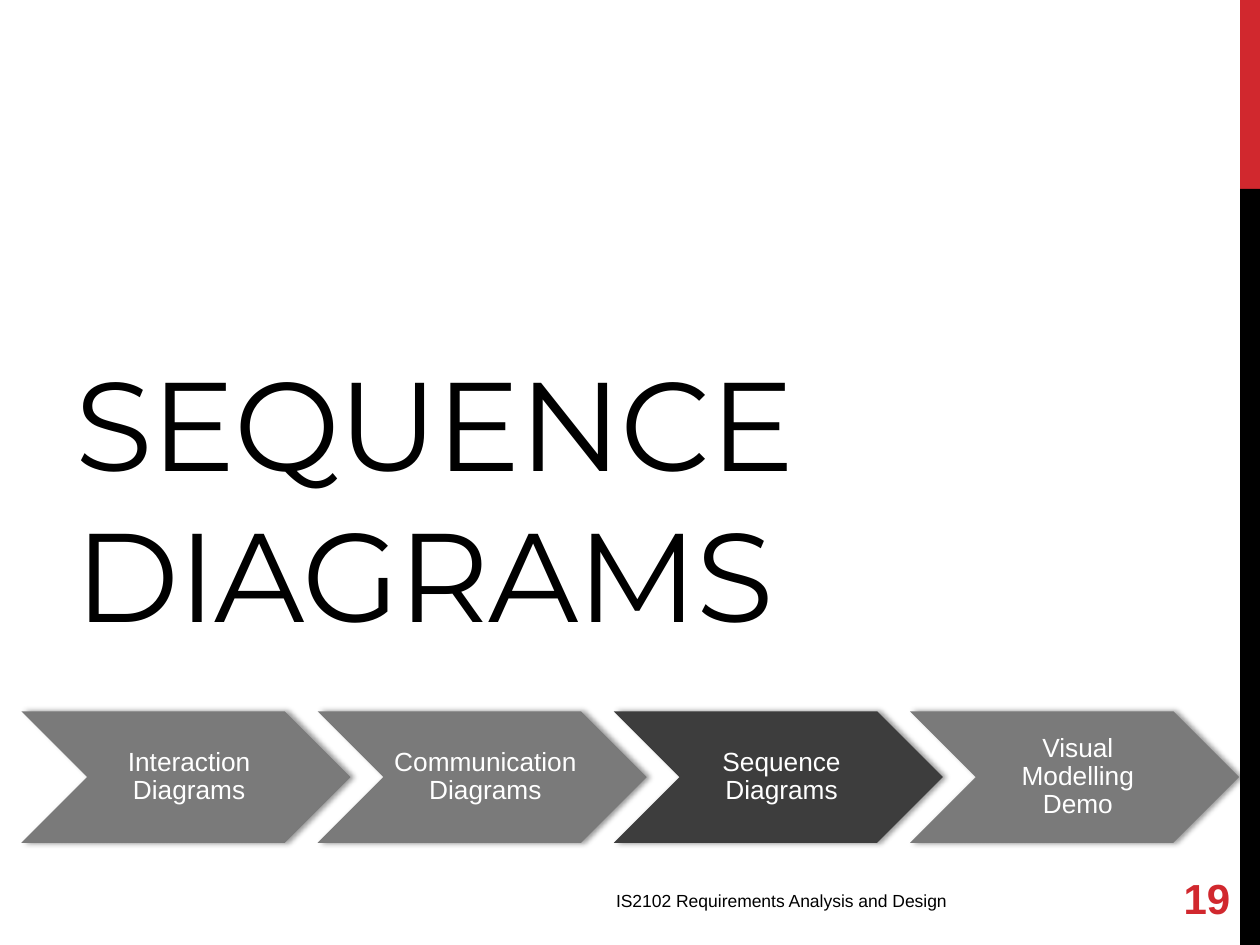
from lxml import etree
from pptx import Presentation
from pptx.dml.color import RGBColor
from pptx.enum.shapes import MSO_SHAPE as SHAPE
from pptx.enum.text import MSO_ANCHOR as ANCHOR, PP_ALIGN as ALIGN
from pptx.oxml import parse_xml
from pptx.oxml.ns import nsdecls, qn
from pptx.util import Cm, Pt

RED, BLACK, WHITE = "D1282E", "000000", "FFFFFF"
GREY, DARK = "7A7A7A", "3D3D3D"
STEPS = ["Interaction Diagrams", "Communication Diagrams",
         "Sequence Diagrams", "Visual Modelling Demo"]
CURRENT = "Sequence Diagrams"


def rgb(color):
    return RGBColor.from_string(color)


def add_block(s, kind, x, y, w, h, color):
    sp = s.shapes.add_shape(kind, Cm(x), Cm(y), Cm(w), Cm(h))
    sp.shadow.inherit = False
    sp.fill.solid()
    sp.fill.fore_color.rgb = rgb(color)
    sp.line.fill.background()
    return sp


def add_text(s, text, x, y, w, h, size, color, font="Arial",
             align=ALIGN.LEFT, anchor=ANCHOR.MIDDLE):
    tf = s.shapes.add_textbox(Cm(x), Cm(y), Cm(w), Cm(h)).text_frame
    tf.word_wrap = True
    tf.vertical_anchor = anchor
    p = tf.paragraphs[0]
    p.alignment = align
    r = p.add_run()
    r.text = text
    r.font.size = Pt(size)
    r.font.name = font
    r.font.color.rgb = rgb(color)
    return tf, p, r


def cast_shadow(sp):
    """Give the shape a soft shadow to its right."""
    effects = sp._element.spPr.find(qn("a:effectLst"))
    shadow = parse_xml(
        f'<a:outerShdw {nsdecls("a")} blurRad="{Pt(3.1)}" dist="{Pt(1.8)}" dir="0" '
        'algn="ctr" rotWithShape="0"><a:srgbClr val="000000">'
        '<a:alpha val="40000"/></a:srgbClr></a:outerShdw>')
    effects.append(shadow)


def side_bar(s, x, y, w, h):
    red_h = h / 5
    add_block(s, SHAPE.RECTANGLE, x, y, w, red_h, RED)
    add_block(s, SHAPE.RECTANGLE, x, y + red_h, w, h - red_h, BLACK)


def title(s, x, y, w, h):
    _, _, r = add_text(s, "SEQUENCE DIAGRAMS", x, y, w, h, 72, BLACK, "Montserrat")
    r._r.get_or_add_rPr().set("spc", "-80")


def footer(s, x, y, w, h):
    """Course name on the left of the box, page number on its right."""
    add_text(s, "IS2102 Requirements Analysis and Design",
             x, y + 0.23, 8.79, h, 10, BLACK, anchor=ANCHOR.TOP)
    number_w = 3.66
    _, _, r = add_text(s, "19", x + w - number_w, y, number_w, h, 24, RED,
                       align=ALIGN.RIGHT)
    r.font.bold = True


def process(s, x, y, w, h):
    """Row of chevrons, each overlapping the next by a tenth of its width."""
    step_w = w / (1 + 0.9 * (len(STEPS) - 1))
    for i, step in enumerate(STEPS):
        left = x + i * 0.9 * step_w
        color = DARK if step == CURRENT else GREY
        cast_shadow(add_block(s, SHAPE.CHEVRON, left, y, step_w, h, color))
        tf, p, _ = add_text(s, step, left + h / 2, y, step_w - h, h, 15, WHITE,
                            align=ALIGN.CENTER)
        tf.margin_left = Cm(0.18)
        tf.margin_right = tf.margin_top = tf.margin_bottom = Cm(0.05)
        p.line_spacing = 0.9


def main():
    prs = Presentation()
    prs.slide_width, prs.slide_height = Cm(25.4), Cm(19.05)
    s = prs.slides.add_slide(prs.slide_layouts[6])
    side_bar(s, 25, 0, 0.4, 19.05)
    title(s, 1.27, 4.01, 21.59, 12.01)
    footer(s, 12.17, 17.58, 12.88, 1.02)
    process(s, 0.43, 14.34, 24.55, 2.65)
    prs.save("out.pptx")


if __name__ == "__main__":
    main()
